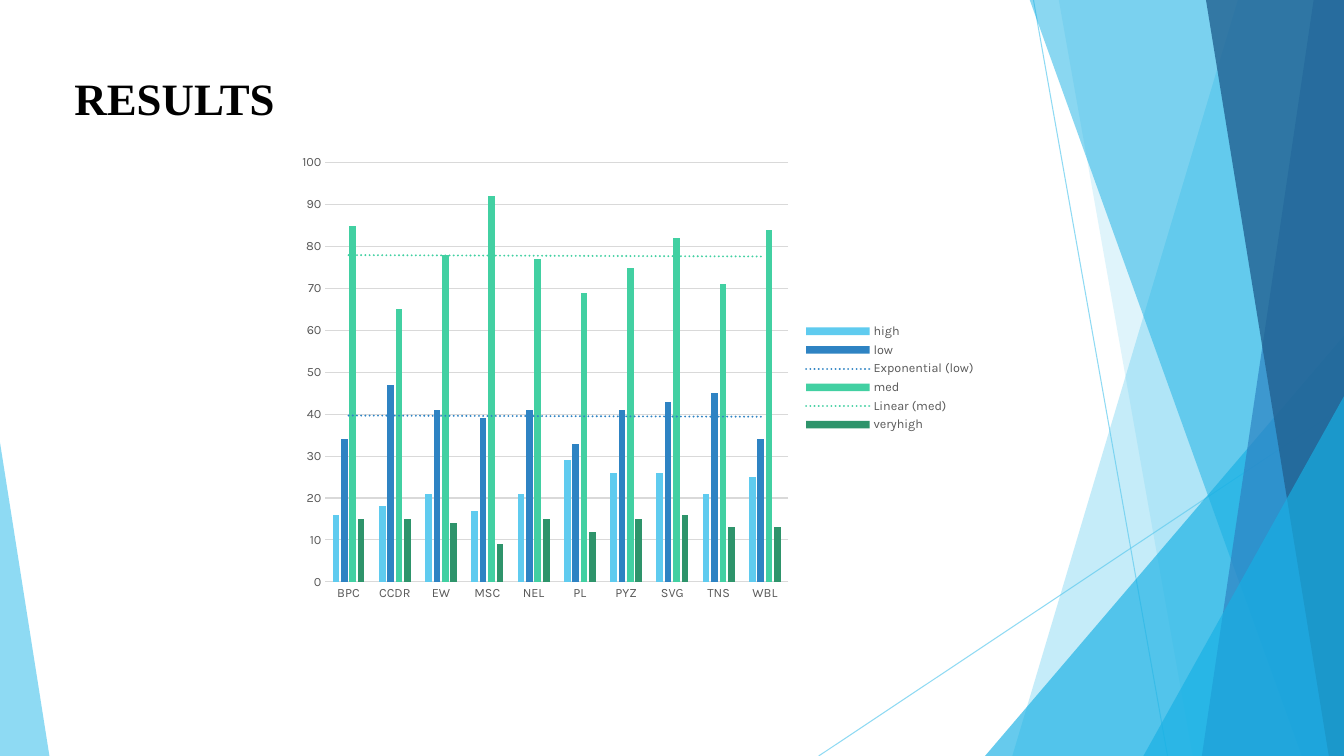
from dataclasses import dataclass

from lxml import etree
from pptx import Presentation
from pptx.chart.data import CategoryChartData
from pptx.dml.color import RGBColor
from pptx.enum.chart import XL_CHART_TYPE, XL_LEGEND_POSITION, XL_TICK_MARK
from pptx.enum.shapes import MSO_CONNECTOR, MSO_SHAPE
from pptx.enum.text import MSO_AUTO_SIZE
from pptx.oxml import parse_xml
from pptx.oxml.ns import nsdecls, qn
from pptx.util import Inches, Pt

SKY = RGBColor(0x5F, 0xCB, 0xEF)
CYAN = RGBColor(0x17, 0xB0, 0xE4)
BLUE = RGBColor(0x2E, 0x83, 0xC3)
NAVY = RGBColor(0x22, 0x62, 0x92)
MINT = RGBColor(0x42, 0xD0, 0xA2)
GREEN = RGBColor(0x2E, 0x94, 0x6B)
BLACK = RGBColor(0, 0, 0)
GREY = RGBColor(0x59, 0x59, 0x59)
PALE = RGBColor(0xD9, 0xD9, 0xD9)
WHITE = RGBColor(0xFF, 0xFF, 0xFF)

PAGE_WIDTH, PAGE_HEIGHT = 13.33, 7.5
SHARD_TOP = -0.01


@dataclass(frozen=True)
class Ray:
    start: tuple[float, float]
    end: tuple[float, float]


@dataclass(frozen=True)
class Shard:
    top_x: float
    bottom_x: float
    color: RGBColor
    opacity: int


@dataclass(frozen=True)
class Wedge:
    left: float
    top: float
    width: float
    apex: float
    color: RGBColor
    opacity: int


@dataclass(frozen=True)
class Level:
    name: str
    values: tuple[int, ...]
    color: RGBColor
    trend: str = ""
    trend_name: str = ""


RAYS = (Ray((10.25, 0), (11.58, 7.5)), Ray((13.33, 4.03), (8.12, 7.5)))
FACETS = (
    Shard(12.28, 10.04, SKY, 36),
    Shard(10.5, 11.83, SKY, 20),
    Wedge(9.77, 3.33, 3.56, 1, CYAN, 66),
    Shard(10.21, 12.91, CYAN, 50),
    Shard(13.03, 11.92, BLUE, 70),
    Shard(11.96, 13.18, NAVY, 80),
    Wedge(11.34, 3.93, 1.99, 1, CYAN, 66),
    Wedge(0, 4.39, 0.49, 0, SKY, 70),
)
SITES = ("BPC", "CCDR", "EW", "MSC", "NEL", "PL", "PYZ", "SVG", "TNS", "WBL")
LEVELS = (
    Level("high", (16, 18, 21, 17, 21, 29, 26, 26, 21, 25), SKY),
    Level("low", (34, 47, 41, 39, 41, 33, 41, 43, 45, 34), BLUE, "exp", "Exponential (low)"),
    Level("med", (85, 65, 78, 92, 77, 69, 75, 82, 71, 84), MINT, "linear", "Linear (med)"),
    Level("veryhigh", (15, 15, 14, 9, 15, 12, 15, 16, 13, 13), GREEN),
)


def set_opacity(element, percent: int) -> None:
    color = next(element.iter(qn("a:srgbClr")))
    etree.SubElement(color, qn("a:alpha")).set("val", str(percent * 1000))


def draw_ray(page, ray: Ray) -> None:
    points = [Inches(value) for value in ray.start + ray.end]
    line = page.shapes.add_connector(MSO_CONNECTOR.STRAIGHT, *points)
    line.line.color.rgb = SKY
    line.line.width = Pt(0.75)
    properties = line._element.spPr
    set_opacity(properties, 70)
    etree.SubElement(properties, qn("a:effectLst"))


def draw_facet(page, facet: Shard | Wedge) -> None:
    if isinstance(facet, Shard):
        corners = (
            (PAGE_WIDTH, SHARD_TOP),
            (PAGE_WIDTH, PAGE_HEIGHT),
            (facet.bottom_x, PAGE_HEIGHT),
        )
        builder = page.shapes.build_freeform(Inches(facet.top_x), Inches(SHARD_TOP))
        builder.add_line_segments([(Inches(x), Inches(y)) for x, y in corners])
        shape = builder.convert_to_shape()
    else:
        shape = page.shapes.add_shape(
            MSO_SHAPE.ISOSCELES_TRIANGLE, Inches(facet.left), Inches(facet.top),
            Inches(facet.width), Inches(PAGE_HEIGHT - facet.top),
        )
        shape.adjustments[0] = facet.apex
    shape.shadow.inherit = False
    shape.fill.solid()
    shape.fill.fore_color.rgb = facet.color
    set_opacity(shape._element.spPr, facet.opacity)
    shape.line.fill.background()


def add_title(page) -> None:
    box = page.shapes.add_textbox(Inches(0.64), Inches(0.65), Inches(7.59), Inches(0.64))
    frame = box.text_frame
    frame.word_wrap = True
    frame.auto_size = MSO_AUTO_SIZE.SHAPE_TO_FIT_TEXT
    frame.text = "RESULTS"
    span = frame.paragraphs[0].runs[0]
    span.font.name = "Times New Roman"
    span.font.size = Pt(32)
    span.font.bold = True
    span.font.color.rgb = BLACK


def style_font(font, size: float, color: RGBColor) -> None:
    font.name = "Karla"
    font.size = Pt(size)
    font.color.rgb = color


def add_trend(series, level: Level) -> None:
    trend = parse_xml(
        f'<c:trendline {nsdecls("c", "a")}><c:name>{level.trend_name}</c:name>'
        f'<c:spPr><a:ln w="{Pt(1.5)}" cap="rnd"><a:solidFill>'
        f'<a:srgbClr val="{level.color}"/></a:solidFill>'
        '<a:prstDash val="sysDot"/></a:ln></c:spPr>'
        f'<c:trendlineType val="{level.trend}"/>'
        '<c:dispRSqr val="0"/><c:dispEq val="0"/></c:trendline>'
    )
    series._element.find(qn("c:cat")).addprevious(trend)


def add_results_chart(page) -> None:
    data = CategoryChartData()
    data.categories = SITES
    for level in LEVELS:
        data.add_series(level.name, level.values)
    chart = page.shapes.add_chart(
        XL_CHART_TYPE.COLUMN_CLUSTERED,
        Inches(2.86), Inches(1.45), Inches(6.92), Inches(4.6), data,
    ).chart
    style_font(chart.font, 10, BLACK)
    chart.has_title = False
    chart.has_legend = True
    chart.legend.position = XL_LEGEND_POSITION.RIGHT
    chart.legend.include_in_layout = False
    style_font(chart.legend.font, 9, GREY)

    plot = chart.plots[0]
    plot.gap_width = 219
    plot.overlap = -27
    plot.vary_by_categories = False
    for series, level in zip(plot.series, LEVELS):
        series.format.fill.solid()
        series.format.fill.fore_color.rgb = level.color
        if level.trend:
            add_trend(series, level)

    for axis in (chart.category_axis, chart.value_axis):
        axis.major_tick_mark = XL_TICK_MARK.NONE
        axis.minor_tick_mark = XL_TICK_MARK.NONE
        style_font(axis.tick_labels.font, 9, GREY)
    values = chart.value_axis
    values.minimum_scale, values.maximum_scale, values.major_unit = 0, 100, 10
    values.format.line.fill.background()
    for line in (chart.category_axis.format.line, values.major_gridlines.format.line):
        line.color.rgb = PALE
        line.width = Pt(0.75)


def main() -> None:
    deck = Presentation()
    deck.slide_width = Inches(PAGE_WIDTH)
    deck.slide_height = Inches(PAGE_HEIGHT)
    page = deck.slides.add_slide(deck.slide_layouts[6])
    page.background.fill.solid()
    page.background.fill.fore_color.rgb = WHITE
    for ray in RAYS:
        draw_ray(page, ray)
    for facet in FACETS:
        draw_facet(page, facet)
    add_title(page)
    add_results_chart(page)
    deck.save("out.pptx")


if __name__ == "__main__":
    main()
